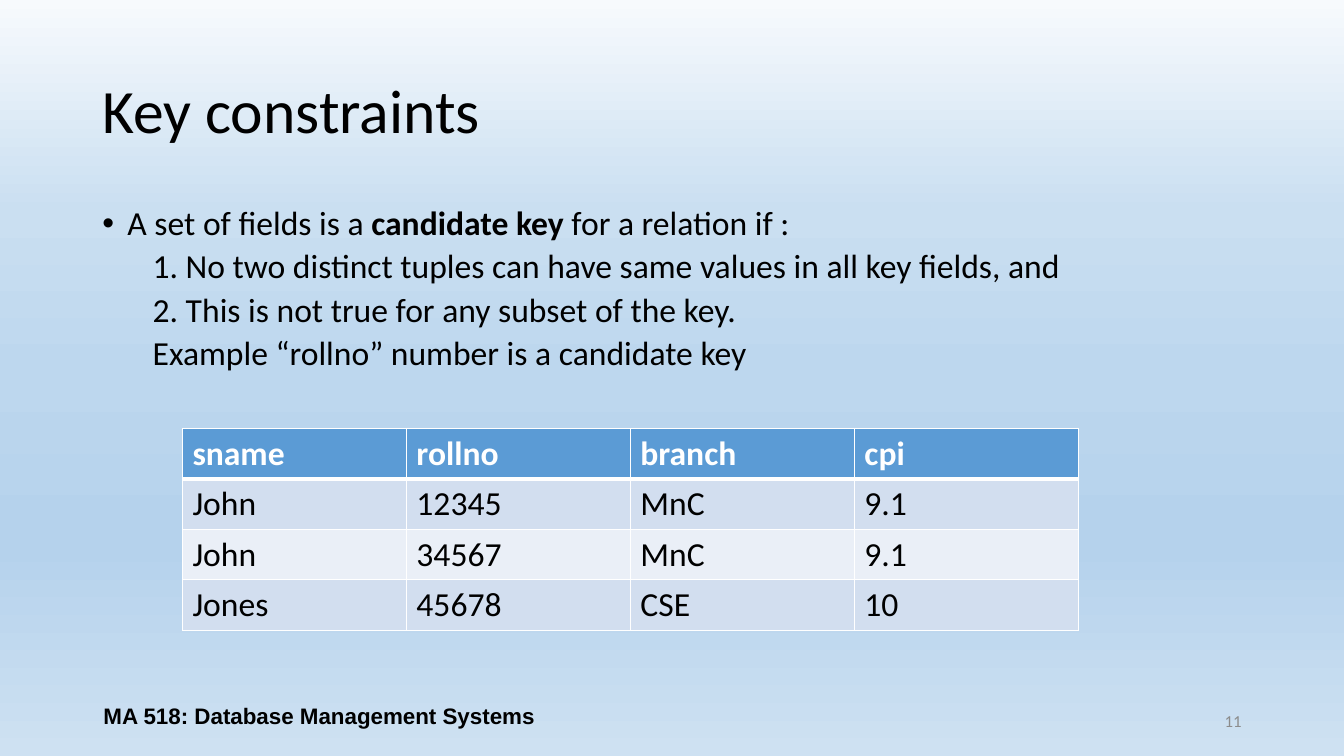
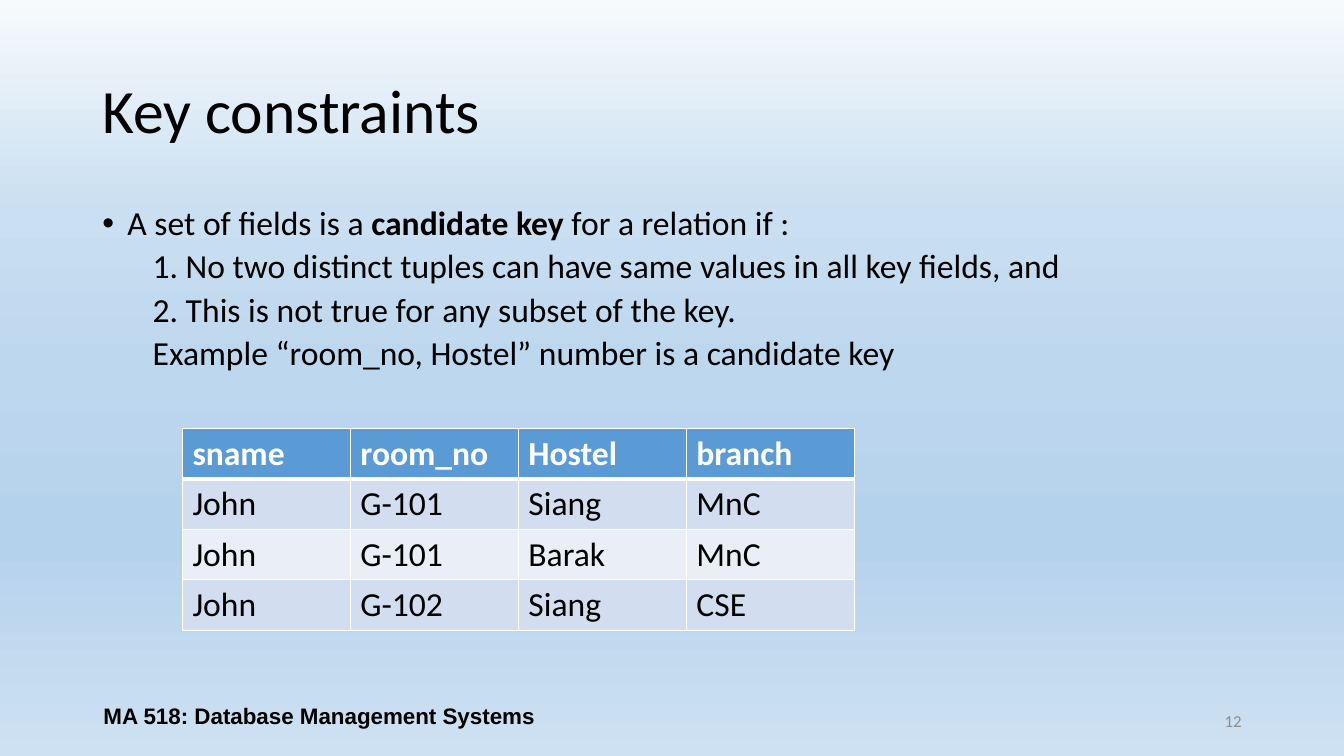
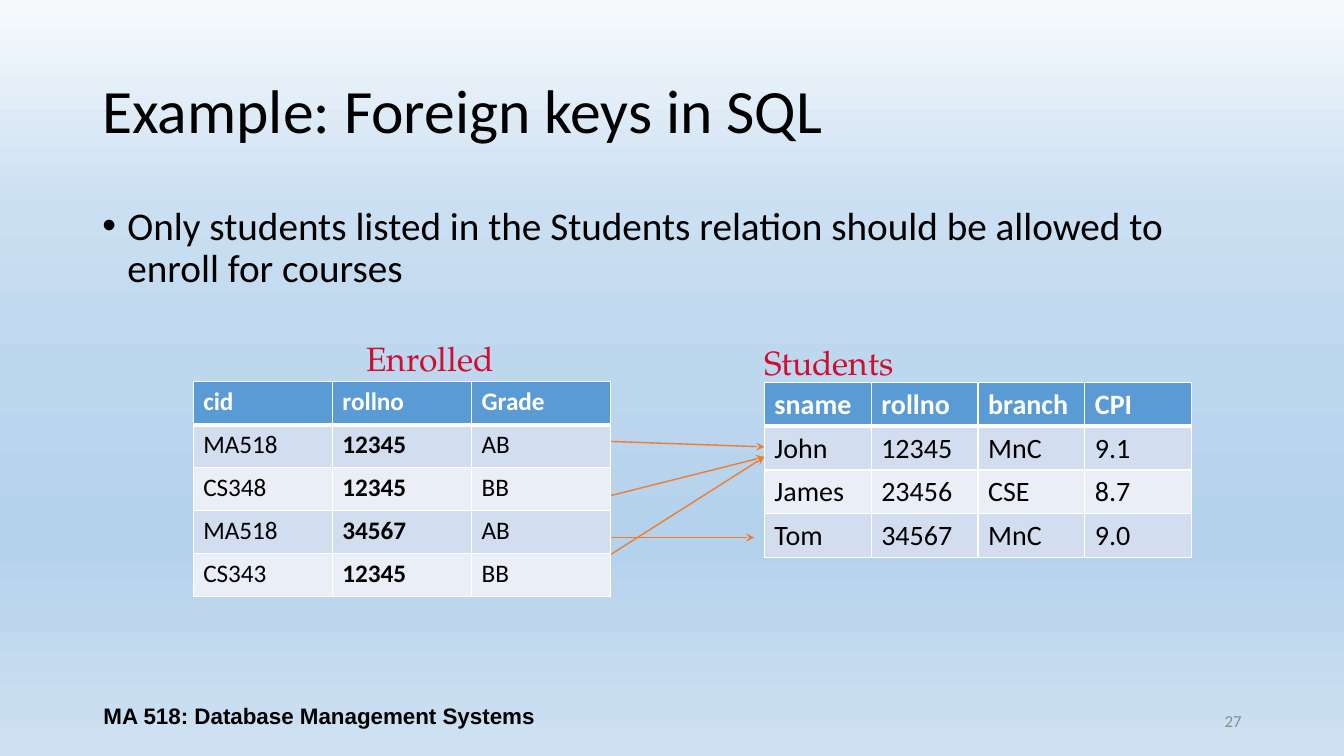
import lxml.etree
import pptx
import pptx.dml.color
import pptx.enum.shapes
import pptx.enum.text
import pptx.oxml.ns
import pptx.util

COLS, ROWS = 160, 90
PAGE = {"slide_width": pptx.util.Pt(6 * COLS), "slide_height": pptx.util.Pt(6 * ROWS)}
SKY = [(0, "F7FAFD"), (28, "CADFF1"), (49, "BDD7EE"), (71, "B5D2EC"), (72, "B5D2EC"), (100, "CEE1F2")]
BLACK, WHITE, GREY, RED, ORANGE = "000000", "FFFFFF", "8C8C8C", "CF0E30", "ED7D31"
HEAD, BANDS = "5B9BD5", ("D2DEEF", "EAEFF7")
LEFT = 11
QUARTER = pptx.util.Inches(0.25)
MID = pptx.enum.text.MSO_ANCHOR.MIDDLE
ALIGN = pptx.enum.text.PP_ALIGN


def color(code):
    return pptx.dml.color.RGBColor.from_string(code)


def put(thing, values):
    for name, value in values.items():
        setattr(thing, name, value)


def node(top, tag, **marks):
    return lxml.etree.SubElement(top, pptx.oxml.ns.qn(tag), marks)


class Deck:
    """Holds the shared style and the current slide, and draws each kind of element."""

    def __init__(self):
        self.show = pptx.Presentation()
        put(self.show, PAGE)
        self.paint()

    def paint(self):
        master = self.show.slide_master
        fill = master.background.fill
        fill.gradient()
        fill.gradient_angle = 270
        stops = master.element.find(".//" + pptx.oxml.ns.qn("a:gsLst"))
        for stop in list(stops):
            stops.remove(stop)
        for share, code in SKY:
            node(node(stops, "a:gs", pos=str(share * 1000)), "a:srgbClr", val=code)

    def grid(self, *marks):
        return [pptx.util.Pt(6 * mark) for mark in marks]

    def start(self, title):
        self.slide = self.show.slides.add_slide(self.show.slide_layouts[6])
        frame = self.frame((LEFT, 4.8, 138, 17.4), {"vertical_anchor": MID})
        self.words(frame.paragraphs[0], title, 44, form={"line_spacing": 0.9})

    def foot(self, number):
        for place, text, size, code, side, font in (
            ((113, 83.4, 36, 4.8), str(number), 12, GREY, ALIGN.RIGHT, {}),
            ((LEFT, 82.8, 54, 4.8), "MA 518: Database Management Systems", 16, BLACK,
             ALIGN.CENTER, {"name": "Arial", "bold": True}),
        ):
            frame = self.frame(place, {"vertical_anchor": MID})
            self.words(frame.paragraphs[0], text, size, code, font, {"alignment": side})

    def frame(self, place, form):
        frame = self.slide.shapes.add_textbox(*self.grid(*place)).text_frame
        put(frame, {"word_wrap": True, **form})
        return frame

    def words(self, para, text, size, code=BLACK, font={}, form={}):
        put(para, form)
        for spot, part in enumerate(text.split("*")):
            run = para.add_run()
            run.text = part
            put(run.font, {"name": "Calibri", "size": pptx.util.Pt(size), "bold": spot % 2 == 1, **font})
            run.font.color.rgb = color(code)

    def body(self, lines, size):
        frame = self.frame((LEFT, 24, 138, 57.12), {})
        for spot, text in enumerate(lines):
            para = frame.add_paragraph() if spot else frame.paragraphs[0]
            gap = pptx.util.Pt(5 if spot else 10)
            self.words(para, text, size, form={"line_spacing": 0.9, "space_before": gap})
            marks = para._p.get_or_add_pPr()
            marks.set("marL", str(QUARTER * (3 if spot else 1)))
            marks.set("indent", str(-QUARTER))
            if spot:
                node(marks, "a:buNone")
            else:
                node(marks, "a:buFont", typeface="Arial")
                node(marks, "a:buChar", char="•")

    def label(self, left, top, text):
        frame = self.frame((left, top, 17.8, 6), {"word_wrap": False})
        self.words(frame.paragraphs[0], text, 24, RED, {"name": "TeX Gyre Pagella"})

    def edge(self, cell, row):
        props = cell._tc.get_or_add_tcPr()
        for side in "LRTB":
            thick = (row, side) in ((0, "B"), (1, "T"))
            line = node(props, "a:ln" + side, w=str(pptx.util.Pt(3 if thick else 1)))
            node(node(line, "a:solidFill"), "a:srgbClr", val=WHITE)

    def table(self, left, top, width, height, size, data, key=None):
        rows = [line.split() for line in data]
        count = len(rows[0])
        place = self.grid(left, top, width * count, height * len(rows))
        table = self.slide.shapes.add_table(len(rows), count, *place).table
        for col in table.columns:
            col.width = self.grid(width)[0]
        for row, items in enumerate(rows):
            table.rows[row].height = self.grid(height)[0]
            for col, item in enumerate(items):
                cell = table.cell(row, col)
                self.edge(cell, row)
                cell.fill.solid()
                cell.fill.fore_color.rgb = color(BANDS[(row - 1) % 2] if row else HEAD)
                self.words(cell.text_frame.paragraphs[0], item, size, BLACK if row else WHITE,
                           {"bold": row == 0 or col == key})

    def arrow(self, *ends):
        kind = pptx.enum.shapes.MSO_CONNECTOR.STRAIGHT
        link = self.slide.shapes.add_connector(kind, *self.grid(*ends))
        link.line.color.rgb = color(ORANGE)
        link.line.width = pptx.util.Pt(1)
        props = link._element.spPr
        node(props.find(pptx.oxml.ns.qn("a:ln")), "a:tailEnd", type="stealth")
        node(props, "a:effectLst")


deck = Deck()

KEYS = (
    (11, "rollno", COLS / 6,
     ("sname rollno branch cpi", "John 12345 MnC 9.1", "John 34567 MnC 9.1", "Jones 45678 CSE 10")),
    (12, "room_no, Hostel", COLS / 8,
     ("sname room_no Hostel branch", "John G-101 Siang MnC", "John G-101 Barak MnC", "John G-102 Siang CSE")),
)
for number, key, width, data in KEYS:
    deck.start("Key constraints")
    deck.body((
        "A set of fields is a *candidate key* for a relation if :",
        "1. No two distinct tuples can have same values in all key fields, and",
        "2. This is not true for any subset of the key.",
        f"Example “{key}” number is a candidate key",
    ), 24)
    deck.foot(number)
    deck.table(21.72, 51, width, 6, 24, data)

deck.start("Example: Foreign keys in SQL")
deck.table(91, 45.55, 12.72, 5.2, 20,
           ("sname rollno branch CPI", "John 12345 MnC 9.1", "James 23456 CSE 8.7", "Tom 34567 MnC 9.0"))
deck.foot(27)
for ends in ((72.7, 52.55, 91, 53.2), (72.7, 59, 91, 54.4), (69.1, 68.3, 91, 54.4), (72.7, 64, 89.8, 64)):
    deck.arrow(*ends)
deck.label(42.4, 39.6, "Enrolled")
deck.label(89.8, 40.1, "Students")
deck.table(23, 45.45, 16.57, 5.12, 18,
           ("cid rollno Grade", "MA518 12345 AB", "CS348 12345 BB", "MA518 34567 AB", "CS343 12345 BB"), key=1)
deck.body(("Only students listed in the Students relation should be allowed to enroll for courses",), 28)

deck.show.save("out.pptx")
